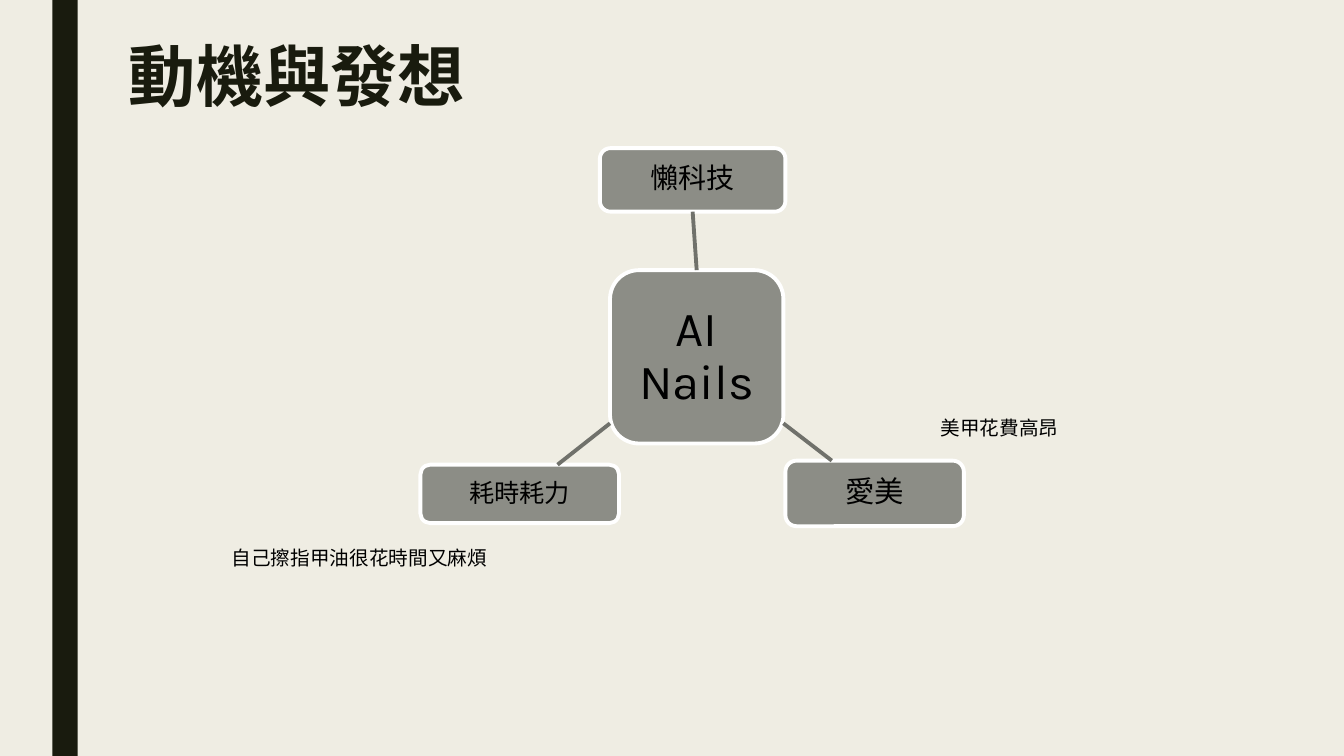
from dataclasses import dataclass

from lxml import etree
from pptx import Presentation
from pptx.dml.color import RGBColor
from pptx.enum.shapes import MSO_CONNECTOR, MSO_SHAPE
from pptx.enum.text import MSO_ANCHOR, PP_ALIGN
from pptx.oxml.ns import qn
from pptx.util import Inches, Pt

RECTANGLE = MSO_SHAPE.RECTANGLE
ROUNDED = MSO_SHAPE.ROUNDED_RECTANGLE
STRAIGHT = MSO_CONNECTOR.STRAIGHT
MIDDLE = MSO_ANCHOR.MIDDLE
TOP = MSO_ANCHOR.TOP
CENTER = PP_ALIGN.CENTER
LEFT = PP_ALIGN.LEFT
TOP_SITE, BOTTOM_SITE = 0, 2


@dataclass(frozen=True)
class Theme:
    font: str = "Karla"
    background: RGBColor = RGBColor(0xEF, 0xED, 0xE3)
    dark: RGBColor = RGBColor(0x19, 0x1B, 0x0E)
    node: RGBColor = RGBColor(0x8C, 0x8D, 0x86)
    outline: RGBColor = RGBColor(0xFF, 0xFF, 0xFF)
    link: RGBColor = RGBColor(0x70, 0x71, 0x6B)
    text: RGBColor = RGBColor(0x00, 0x00, 0x00)
    title_size: int = 48
    hub_size: int = 35
    lazy_size: int = 20
    beauty_size: int = 21
    effort_size: int = 18
    note_size: int = 14
    line_width: float = 2.75


class SlideBuilder:
    def __init__(self, slide, theme):
        self.slide = slide
        self.theme = theme
        fill = slide.background.fill
        fill.solid()
        fill.fore_color.rgb = theme.background

    def style_text(self, frame, text, size, color, align=LEFT, bold=False):
        """Fill the frame with one styled paragraph and return it."""
        frame.word_wrap = True
        frame.text = text
        paragraph = frame.paragraphs[0]
        paragraph.alignment = align
        font = paragraph.runs[0].font
        font.name = self.theme.font
        font.size = Pt(size)
        font.bold = bold
        font.color.rgb = color
        return paragraph

    def block(self, kind, box, color):
        shape = self.slide.shapes.add_shape(kind, *map(Inches, box))
        shape.shadow.inherit = False
        shape.fill.solid()
        shape.fill.fore_color.rgb = color
        shape.line.fill.background()
        return shape

    def title(self, text, box):
        frame = self.slide.shapes.add_textbox(*map(Inches, box)).text_frame
        frame.vertical_anchor = TOP
        paragraph = self.style_text(frame, text, self.theme.title_size, self.theme.dark, bold=True)
        paragraph.line_spacing = 0.89

    def note(self, text, box):
        frame = self.slide.shapes.add_textbox(*map(Inches, box)).text_frame
        self.style_text(frame, text, self.theme.note_size, self.theme.text)

    def node(self, text, box, size, inset):
        shape = self.block(ROUNDED, box, self.theme.node)
        shape.line.color.rgb = self.theme.outline
        shape.line.width = Pt(self.theme.line_width)
        frame = shape.text_frame
        frame.vertical_anchor = MIDDLE
        frame.margin_left = frame.margin_right = Inches(inset)
        frame.margin_top = frame.margin_bottom = Inches(inset)
        paragraph = self.style_text(frame, text, size, self.theme.text, CENTER)
        paragraph.line_spacing = 0.9
        paragraph.space_after = Pt(0.35 * size)
        return shape

    def link(self, start, end):
        connector = self.slide.shapes.add_connector(STRAIGHT, *map(Inches, (*start, *end)))
        connector.line.color.rgb = self.theme.link
        connector.line.width = Pt(self.theme.line_width)
        etree.SubElement(connector._element.spPr, qn("a:effectLst"))
        return connector


def main():
    presentation = Presentation()
    presentation.slide_width = Inches(13.33)
    presentation.slide_height = Inches(7.5)
    theme = Theme()
    builder = SlideBuilder(presentation.slides.add_slide(presentation.slide_layouts[6]), theme)

    builder.block(RECTANGLE, (0.52, 0, 0.25, 7.5), theme.dark)
    builder.title("動機與發想", (1.18, 0.39, 9.42, 1.41))

    hub = builder.node("AI Nails", (6.05, 2.68, 1.72, 1.72), theme.hub_size, 0.1)
    lazy = builder.node("懶科技", (5.95, 1.47, 1.84, 0.63), theme.lazy_size, 0.06)
    builder.node("愛美", (7.79, 4.57, 1.77, 0.65), theme.beauty_size, 0.06)
    builder.node("耗時耗力", (4.17, 4.61, 1.97, 0.58), theme.effort_size, 0.05)

    hub_to_lazy = builder.link((6.91, 2.68), (6.87, 2.1))
    hub_to_lazy.begin_connect(hub, TOP_SITE)
    hub_to_lazy.end_connect(lazy, BOTTOM_SITE)
    builder.link((7.77, 4.2), (8.25, 4.57))
    builder.link((6.05, 4.2), (5.53, 4.61))

    builder.note("美甲花費高昂", (9.23, 4.08, 2.73, 0.34))
    builder.note("自己擦指甲油很花時間又麻煩", (2.2, 5.37, 2.84, 0.34))

    presentation.save("out.pptx")


if __name__ == "__main__":
    main()
